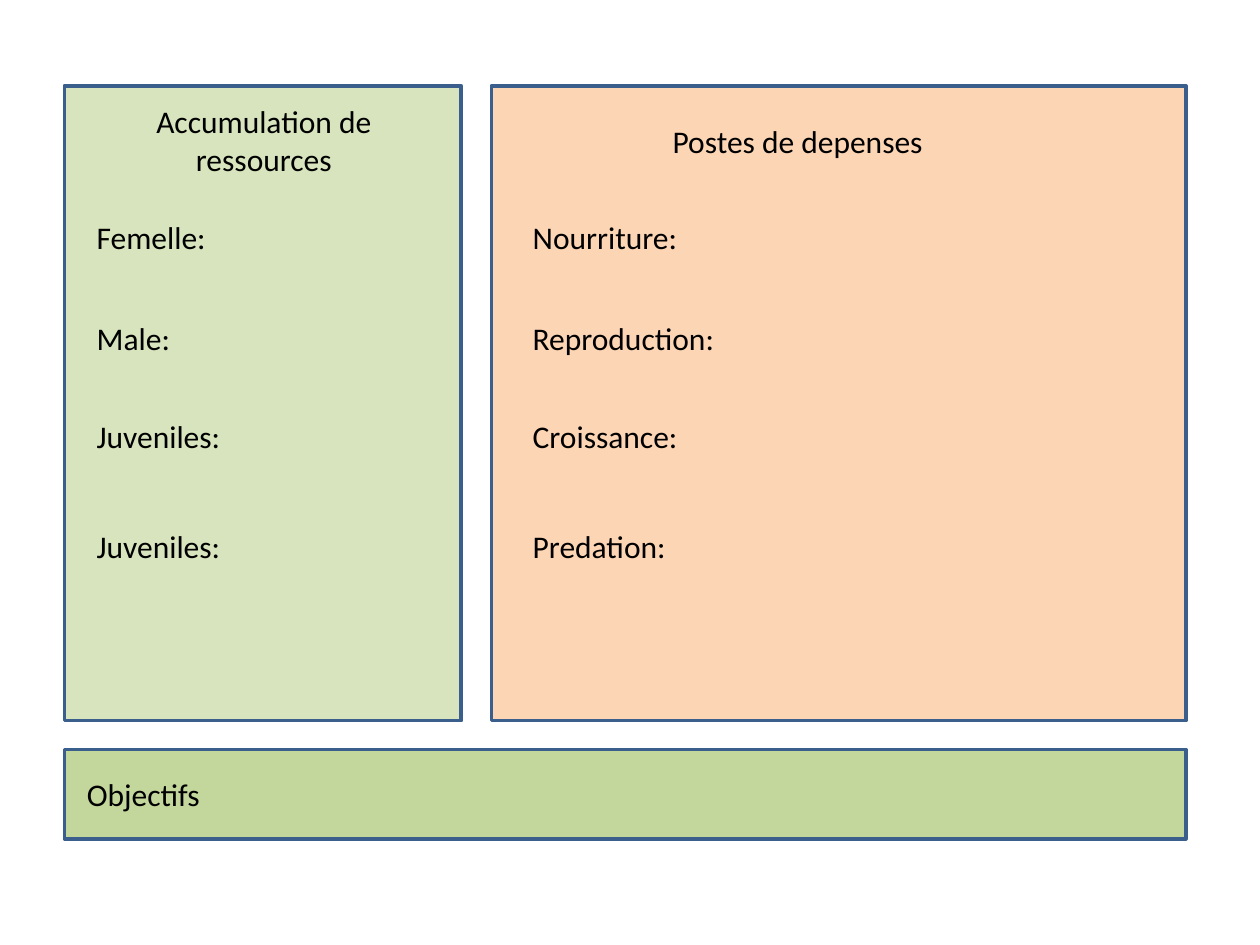
from pptx import Presentation
from pptx.dml.color import RGBColor
from pptx.enum.shapes import MSO_SHAPE
from pptx.enum.text import MSO_AUTO_SIZE, PP_ALIGN
from pptx.util import Cm, Pt

RECTANGLE = MSO_SHAPE.RECTANGLE
FIT_SHAPE = MSO_AUTO_SIZE.SHAPE_TO_FIT_TEXT
LEFT, CENTER = PP_ALIGN.LEFT, PP_ALIGN.CENTER
COLORS = {
    "resources": "D7E4BD",
    "expenses": "FCD5B5",
    "goals": "C3D69B",
    "border": "3A5F8C",
    "text": "000000",
}
LABEL_WIDTH, LABEL_HEIGHT = 6, 1.02
ROW_OFFSETS = (2.55, 4.58, 6.56, 8.77)


def color(name):
    """Return the named palette colour."""
    return RGBColor.from_string(COLORS[name])


def add_box(slide, box, fill):
    """Draw a bordered rectangle filling the box."""
    shape = slide.shapes.add_shape(RECTANGLE, *map(Cm, box))
    shape.shadow.inherit = False
    shape.fill.solid()
    shape.fill.fore_color.rgb = color(fill)
    shape.line.color.rgb = color("border")
    shape.line.width = Pt(2)


def add_label(slide, box, text, alignment=LEFT, wrap=True):
    """Write one 18 pt text in the box."""
    frame = slide.shapes.add_textbox(*map(Cm, box)).text_frame
    frame.word_wrap = wrap
    frame.auto_size = FIT_SHAPE
    paragraph = frame.paragraphs[0]
    paragraph.text = text
    paragraph.alignment = alignment
    paragraph.font.name = "Calibri"
    paragraph.font.size = Pt(18)
    paragraph.font.color.rgb = color("text")


def add_panel(slide, box, fill, title, title_box, labels, indent, wrap=True):
    """Build a panel with a title and labels placed relative to its box."""
    left, top = box[:2]
    add_box(slide, box, fill)
    title_left, title_top, width, height = title_box
    add_label(slide, (left + title_left, top + title_top, width, height),
              title, CENTER if wrap else LEFT, wrap)
    for label, offset in zip(labels, ROW_OFFSETS):
        add_label(slide, (left + indent, top + offset, LABEL_WIDTH, LABEL_HEIGHT), label)


def add_goals(slide, box):
    """Build the goals bar in the box."""
    left, top = box[:2]
    add_box(slide, box, "goals")
    add_label(slide, (left + 0.2, top + 0.38, LABEL_WIDTH, LABEL_HEIGHT), "Objectifs")


def main():
    """Build and save the presentation."""
    presentation = Presentation()
    presentation.slide_width, presentation.slide_height = Cm(25.4), Cm(19.05)
    slide = presentation.slides.add_slide(presentation.slide_layouts[6])
    add_panel(slide, (1.3, 1.73, 8, 12.8), "resources",
              "Accumulation de ressources", (1.02, 0.2, LABEL_WIDTH, 1.8),
              ("Femelle:", "Male:", "Juveniles:", "Juveniles:"), 0.4)
    add_panel(slide, (9.91, 1.73, 14, 12.8), "expenses",
              "Postes de depenses", (3.4, 0.61, 5.61, LABEL_HEIGHT),
              ("Nourriture:", "Reproduction:", "Croissance:", "Predation:"), 0.58, wrap=False)
    add_goals(slide, (1.3, 15.11, 22.61, 1.8))
    presentation.save("out.pptx")


main()
